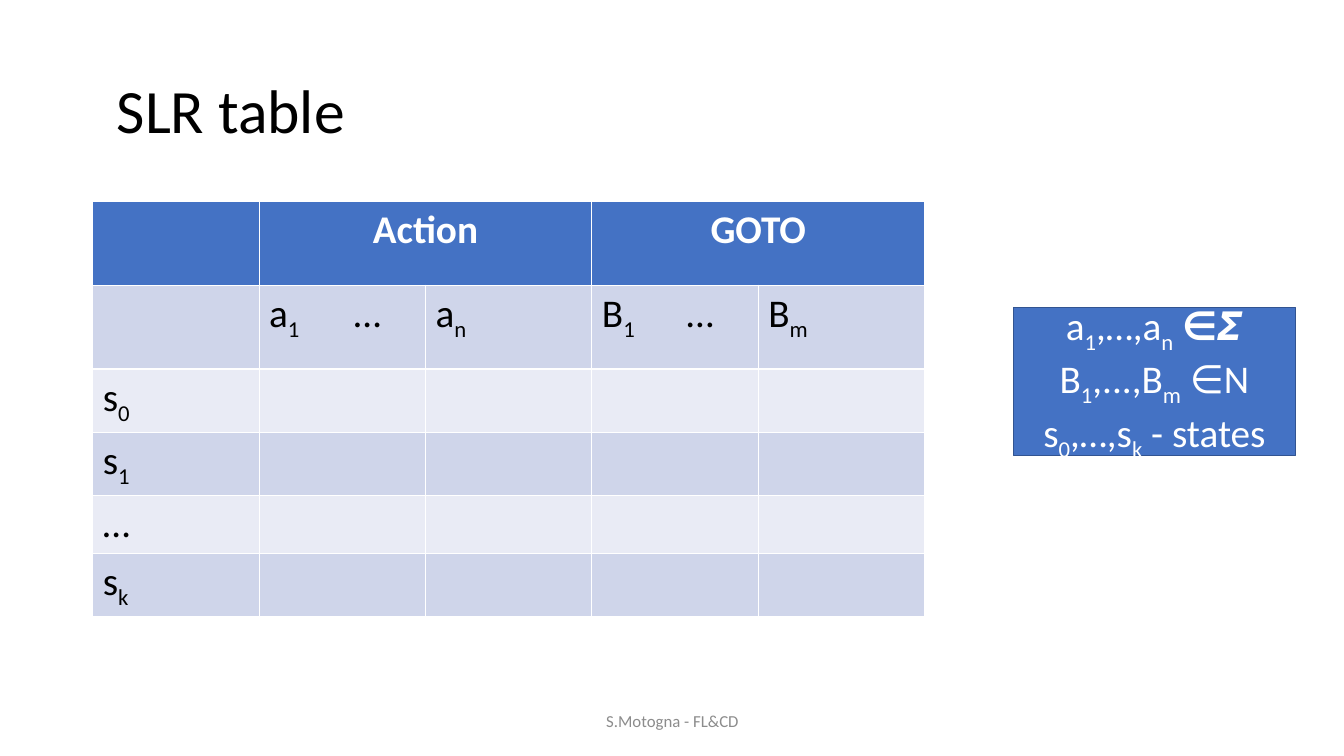
import dataclasses

import pptx
import pptx.dml.color
import pptx.enum.shapes
import pptx.enum.text
import pptx.oxml
import pptx.oxml.ns
import pptx.util

PX = 9144
ALIGN = pptx.enum.text.PP_ALIGN
MIDDLE = pptx.enum.text.MSO_ANCHOR.MIDDLE


@dataclasses.dataclass(frozen=True)
class Theme:
    font: str = "Calibri"
    ink: str = "000000"
    paper: str = "FFFFFF"
    accent: str = "4472C4"
    accent_edge: str = "325491"
    bands: tuple = ("CFD5EA", "E9EBF5")
    muted: str = "8C8C8C"
    title_size: int = 44
    body_size: int = 28
    footer_size: int = 12


THEME = Theme()
COLUMN_WIDTH = 165
ROW_HEIGHTS = (83, 83, 62, 62, 57, 62)
ELLIPSIS_TAB = 84
SUBHEADINGS = ("", "a_1\t…", "a_n", "B_1\t…", "B_m")
STATES = ("s_0", "s_1", "…", "s_k")
LEGEND = ("a_1,…,a_n ∈𝞢", "B_1,...,B_m ∈N", "s_0,…,s_k - states")


def rgb(color):
    return pptx.dml.color.RGBColor.from_string(color)


def box(left, top, width, height):
    return [pptx.util.Emu(length * PX) for length in (left, top, width, height)]


def style(paragraph, size, color, align=ALIGN.LEFT, bold=False):
    paragraph.alignment = align
    font = paragraph.font
    font.name = THEME.font
    font.size = pptx.util.Pt(size)
    font.bold = bold
    font.color.rgb = rgb(color)


def write_symbols(paragraph, text):
    first, *indexed = text.split("_")
    paragraph.add_run().text = first
    for part in indexed:
        index = paragraph.add_run()
        index.text = part[0]
        index.font._element.set("baseline", "-25000")
        if part[1:]:
            paragraph.add_run().text = part[1:]


def add_tab_stop(paragraph, position):
    properties = paragraph._p.get_or_add_pPr()
    stops = pptx.oxml.parse_xml(
        f'<a:tabLst {pptx.oxml.ns.nsdecls("a")}>'
        f'<a:tab pos="{position * PX}" algn="l"/></a:tabLst>'
    )
    properties.insert(0, stops)


def add_title(slide, text):
    title = slide.shapes.title
    title.left, title.top, title.width, title.height = box(92, 40, 1150, 145)
    title.text_frame.text = text
    title.text_frame.vertical_anchor = MIDDLE
    heading = title.text_frame.paragraphs[0]
    heading.line_spacing = 0.9
    style(heading, THEME.title_size, THEME.ink)


def fill_cell(cell, text, fill, color, align=ALIGN.LEFT, bold=False):
    cell.fill.solid()
    cell.fill.fore_color.rgb = rgb(fill)
    if text:
        paragraph = cell.text_frame.paragraphs[0]
        write_symbols(paragraph, text)
        style(paragraph, THEME.body_size, color, align, bold)
        if "\t" in text:
            add_tab_stop(paragraph, ELLIPSIS_TAB)


def add_slr_table(slide):
    count = len(SUBHEADINGS)
    area = box(92, 200, COLUMN_WIDTH * count, sum(ROW_HEIGHTS))
    table = slide.shapes.add_table(len(ROW_HEIGHTS), count, *area).table
    for column in table.columns:
        column.width = pptx.util.Emu(COLUMN_WIDTH * PX)
    for row, height in zip(table.rows, ROW_HEIGHTS):
        row.height = pptx.util.Emu(height * PX)

    for column, heading in enumerate(("", "Action", "", "GOTO", "")):
        fill_cell(table.cell(0, column), heading, THEME.accent, THEME.paper,
                  ALIGN.CENTER, True)
    for column in (1, 3):
        table.cell(0, column).merge(table.cell(0, column + 1))

    blanks = ("",) * (count - 1)
    body = [SUBHEADINGS] + [(state, *blanks) for state in STATES]
    for index, symbols in enumerate(body):
        for column, symbol in enumerate(symbols):
            fill_cell(table.cell(index + 1, column), symbol,
                      THEME.bands[index % 2], THEME.ink)


def add_legend(slide):
    legend = slide.shapes.add_shape(
        pptx.enum.shapes.MSO_SHAPE.RECTANGLE, *box(1005, 305, 280, 147))
    legend.shadow.inherit = False
    legend.fill.solid()
    legend.fill.fore_color.rgb = rgb(THEME.accent)
    legend.line.color.rgb = rgb(THEME.accent_edge)
    legend.line.width = pptx.util.Pt(1)
    frame = legend.text_frame
    frame.word_wrap = True
    frame.vertical_anchor = MIDDLE
    for index, definition in enumerate(LEGEND):
        paragraph = frame.add_paragraph() if index else frame.paragraphs[0]
        write_symbols(paragraph, definition)
        style(paragraph, THEME.body_size, THEME.paper, ALIGN.CENTER)


def add_footer(slide, text):
    footer = slide.shapes.add_textbox(*box(442, 695, 450, 40)).text_frame
    footer.word_wrap = True
    footer.vertical_anchor = MIDDLE
    footer.text = text
    style(footer.paragraphs[0], THEME.footer_size, THEME.muted, ALIGN.CENTER)


def main():
    deck = pptx.Presentation()
    deck.slide_width = pptx.util.Emu(1333 * PX)
    deck.slide_height = pptx.util.Emu(750 * PX)
    slide = deck.slides.add_slide(deck.slide_layouts.get_by_name("Title Only"))
    add_title(slide, " SLR table")
    add_slr_table(slide)
    add_footer(slide, "S.Motogna - FL&CD")
    add_legend(slide)
    deck.save("out.pptx")


if __name__ == "__main__":
    main()
